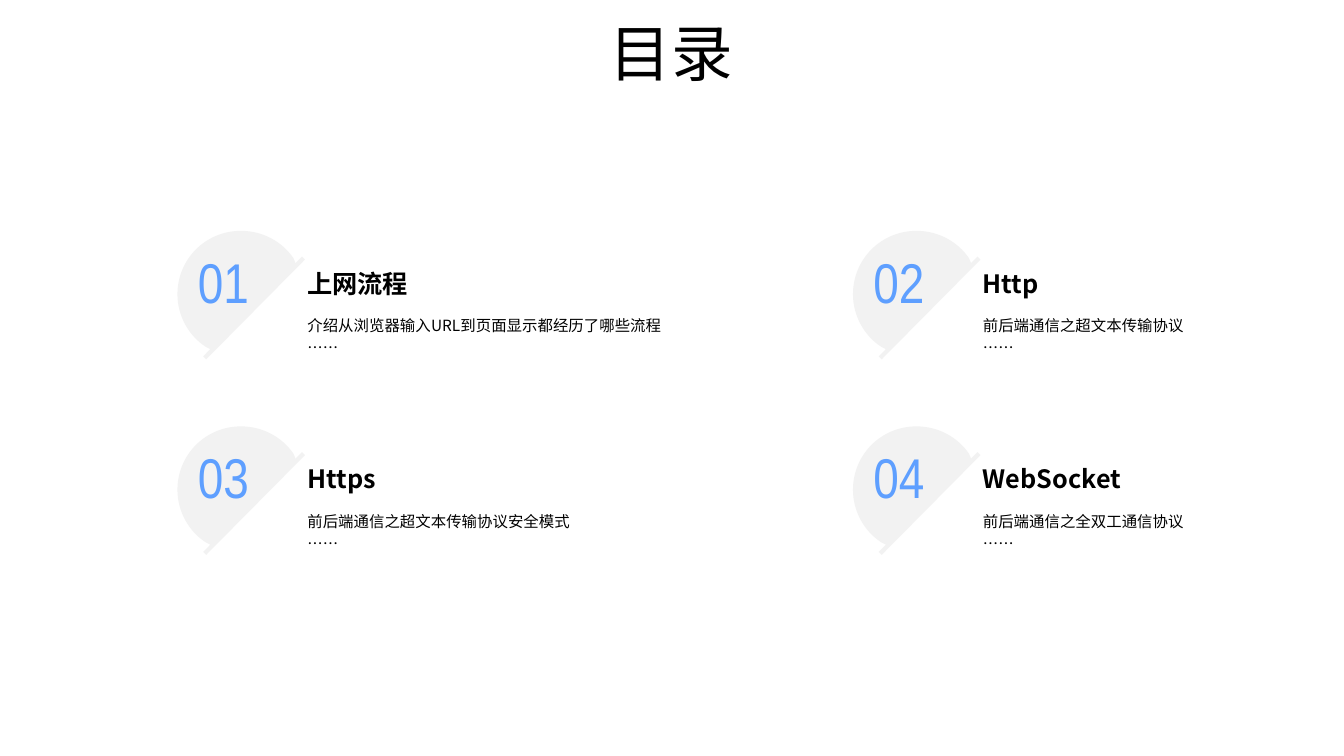
"""Build a contents slide with four numbered topics."""
from lxml import etree
from pptx import Presentation
from pptx.dml.color import RGBColor
from pptx.enum.shapes import MSO_CONNECTOR
from pptx.enum.text import MSO_ANCHOR, MSO_AUTO_SIZE, PP_ALIGN
from pptx.oxml.ns import qn
from pptx.util import Inches, Pt

BLACK = RGBColor(0, 0, 0)
BLUE = RGBColor(0x5E, 0x9F, 0xFF)
GRAY = RGBColor(0xF2, 0xF2, 0xF2)
SANS = "Noto Sans CJK SC"
NARROW = "Arial Narrow"
MIDDLE, TOP = MSO_ANCHOR.MIDDLE, MSO_ANCHOR.TOP
LEFT, CENTER = PP_ALIGN.LEFT, PP_ALIGN.CENTER
STRAIGHT = MSO_CONNECTOR.STRAIGHT
GROW = MSO_AUTO_SIZE.SHAPE_TO_FIT_TEXT

TOPICS = [
    ("上网流程", "介绍从浏览器输入URL到页面显示都经历了哪些流程"),
    ("Http", "前后端通信之超文本传输协议"),
    ("Https", "前后端通信之超文本传输协议安全模式"),
    ("WebSocket", "前后端通信之全双工通信协议"),
]
CORNERS = [(0.63, 0), (1.15, 0.27), (1.18, 0.34), (0.34, 1.18),
           (0.28, 1.15), (0, 0.63), (0.63, 0)]
CURVES = {
    0: [(0.85, 0), (1.04, 0.11), (1.15, 0.27)],
    4: [(0.11, 1.04), (0, 0.84), (0, 0.63)],
    5: [(0, 0.28), (0.28, 0), (0.63, 0)],
}

deck = Presentation()
deck.slide_width, deck.slide_height = Inches(13.33), Inches(7.5)
slide = deck.slides.add_slide(deck.slide_layouts[6])


def add_text(shapes, box, lines, size, font=SANS, color=BLACK, bold=False,
             align=LEFT, anchor=MIDDLE, spacing=1.0):
    label = shapes.add_textbox(*[Inches(v) for v in box])
    frame = label.text_frame
    frame.word_wrap = True
    frame.vertical_anchor = anchor
    frame.text = "\n".join(lines)
    for para in frame.paragraphs:
        para.alignment = align
        para.line_spacing = spacing
        para.font.name = font
        para.font.size = Pt(size)
        para.font.bold = bold
        para.font.color.rgb = color
        for run in para.runs:
            props = run._r.get_or_add_rPr()
            etree.SubElement(props, qn("a:ea")).set("typeface", font)
    return frame


def bend(shape, curves):
    lines = list(shape._element.iter(qn("a:lnTo")))
    for index, points in curves.items():
        curve = etree.Element(qn("a:cubicBezTo"))
        for dx, dy in points:
            point = etree.SubElement(curve, qn("a:pt"))
            point.set("x", str(Inches(dx)))
            point.set("y", str(Inches(dy)))
        line = lines[index]
        line.getparent().replace(line, curve)


add_text(slide.shapes, (0.91, -0.16, 11.5, 1.45), ["目录"], 44,
         align=CENTER, spacing=0.9)

for index, (name, detail) in enumerate(TOPICS):
    row, col = divmod(index, 2)
    x, y = 1.76 + 6.7 * col, 2.29 + 1.94 * row
    group = slide.shapes.add_group_shape().shapes

    points = [(Inches(x + dx), Inches(y + dy)) for dx, dy in CORNERS]
    pen = group.build_freeform(*points[0])
    pen.add_line_segments(points[1:], close=True)
    disc = pen.convert_to_shape()
    bend(disc, CURVES)
    disc.shadow.inherit = False
    disc.fill.solid()
    disc.fill.fore_color.rgb = GRAY
    disc.line.fill.background()

    slash = group.add_connector(STRAIGHT, Inches(x + 1.25), Inches(y + 0.27),
                                Inches(x + 0.27), Inches(y + 1.26))
    slash.line.color.rgb = GRAY
    slash.line.width = Pt(3)
    etree.SubElement(slash._element.spPr, qn("a:effectLst"))

    number = add_text(group, (x, y + 0.11, 0.91, 0.77), [f"{index + 1:02}"],
                      40, NARROW, BLUE, align=CENTER)
    number.auto_size = GROW
    add_text(group, (x + 1.19, y + 0.76, 3.98, 0.84), [detail, "……"], 11,
             anchor=TOP, spacing=1.2)
    add_text(group, (x + 1.19, y + 0.28, 3.98, 0.48), [name], 18, bold=True)

deck.save("out.pptx")
